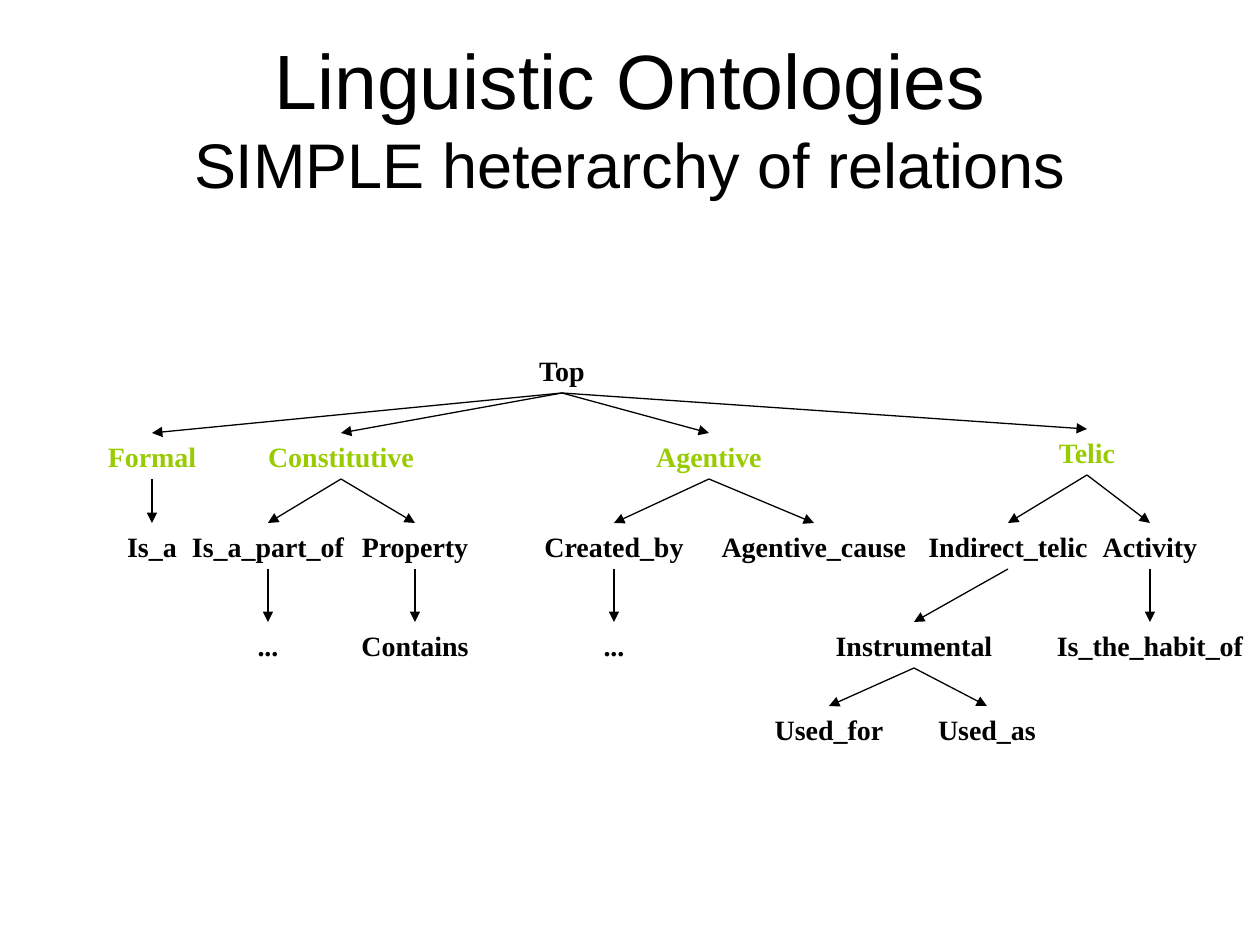
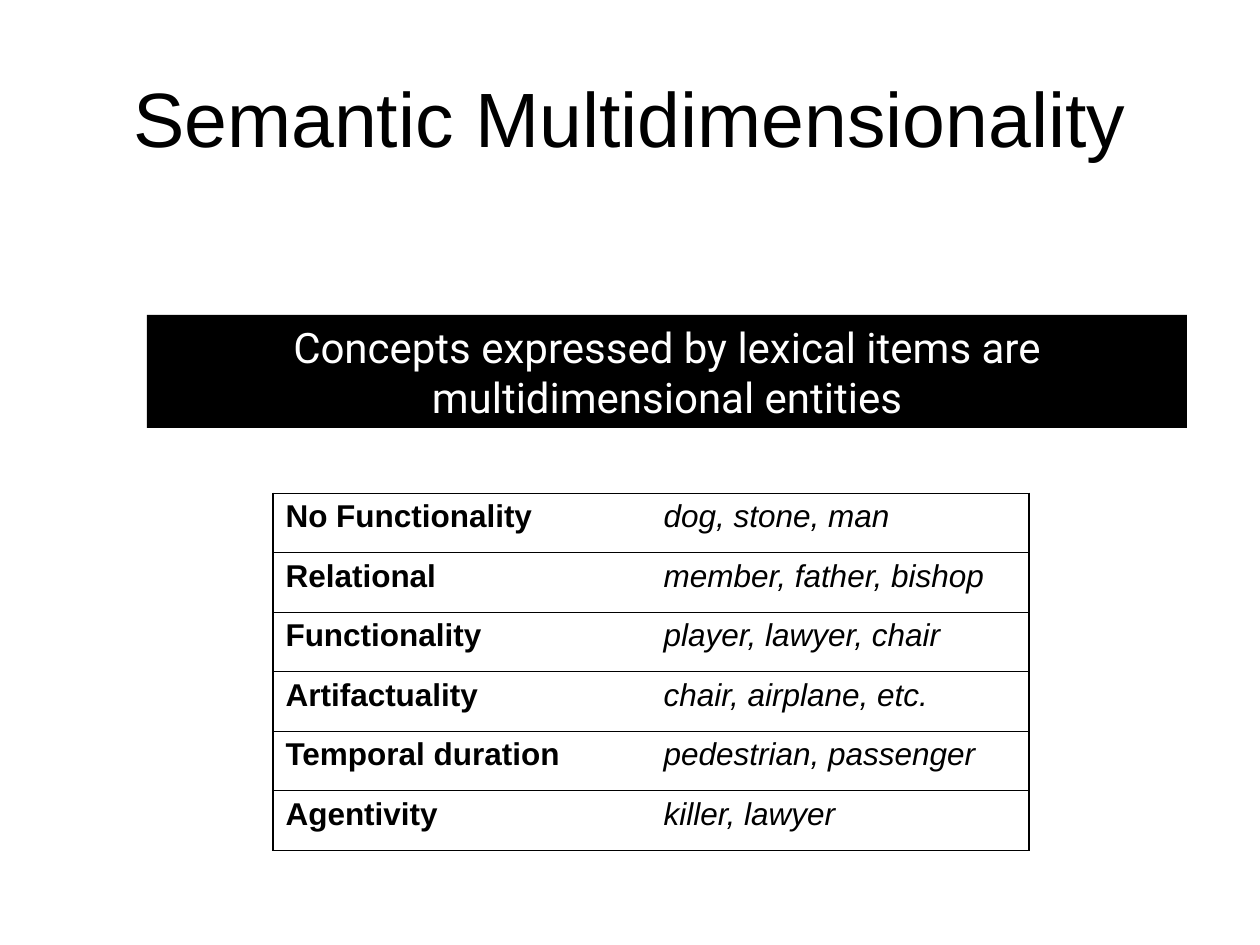
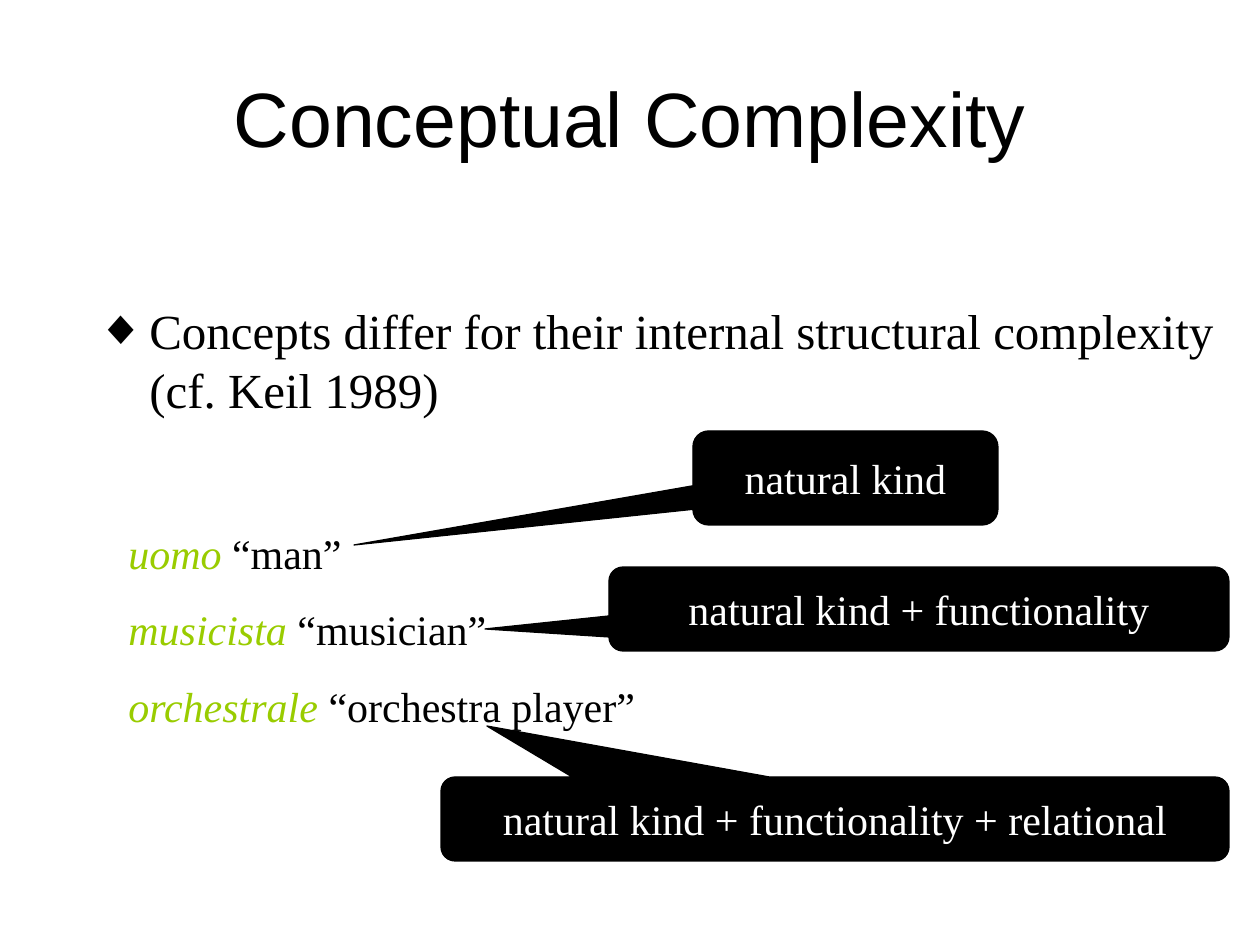
from lxml.etree import SubElement
from pptx import Presentation
from pptx.dml.color import RGBColor
from pptx.enum.shapes import MSO_CONNECTOR, MSO_SHAPE
from pptx.enum.text import MSO_ANCHOR, MSO_AUTO_SIZE, PP_ALIGN
from pptx.oxml.ns import qn
from pptx.util import Emu, Pt

COLORS = {"ink": "000000", "paper": "FFFFFF", "accent": "99CC00"}
SANS, SERIF, BAND_FONT = "Arial", "Times New Roman", "Roboto"


def px(*lengths):
    """Turn pixels (126 to the inch) into a list of EMU lengths."""
    return [Emu(round(length * 914400 / 126)) for length in lengths]


def format_run(run, font, size, color="ink", bold=False, italic=False):
    run.font.name = font
    run.font.size = Pt(size)
    run.font.bold = bold
    run.font.italic = italic
    run.font.color.rgb = RGBColor.from_string(COLORS[color])


presentation = Presentation()
presentation.slide_width, presentation.slide_height = px(1260, 945)

# Titles: lines of text with their sizes
titles = [
    [("Linguistic Ontologies", 44), ("SIMPLE heterarchy of relations", 36)],
    [("Semantic Multidimensionality", 44)],
    [("Conceptual Complexity", 44)],
]
for lines in titles:
    slide = presentation.slides.add_slide(presentation.slide_layouts[5])
    title = slide.shapes.title
    title.left, title.top, title.width, title.height = px(63, 38, 1134, 158)
    title.text_frame.auto_size = MSO_AUTO_SIZE.NONE
    title.text_frame.vertical_anchor = MSO_ANCHOR.MIDDLE
    paragraph = title.text_frame.paragraphs[0]
    paragraph.alignment = PP_ALIGN.CENTER
    for number, (text, size) in enumerate(lines):
        if number:
            paragraph.add_line_break()
        run = paragraph.add_run()
        run.text = text
        format_run(run, SANS, size)

ontology_slide, dimension_slide, complexity_slide = presentation.slides

# Relation tree: text, parent, centre, top, width
NODE_HEIGHT = 46
relations = [
    ("Top", None, 562, 347, 136),
    ("Formal", "Top", 152, 433, 158),
    ("Constitutive", "Top", 341, 433, 220),
    ("Agentive", "Top", 709, 433, 200),
    ("Telic", "Top", 1087, 429, 158),
    ("Is_a", "Formal", 152, 523, 148),
    ("Is_a_part_of", "Constitutive", 268, 523, 220),
    ("Property", "Constitutive", 415, 523, 180),
    ("Created_by", "Agentive", 614, 523, 220),
    ("Agentive_cause", "Agentive", 814, 523, 304),
    ("Indirect_telic", "Telic", 1008, 523, 252),
    ("Activity", "Telic", 1150, 523, 190),
    ("...", "Is_a_part_of", 268, 622, 158),
    ("Contains", "Property", 415, 622, 200),
    ("...", "Created_by", 614, 622, 158),
    ("Instrumental", "Indirect_telic", 914, 622, 252),
    ("Is_the_habit_of", "Activity", 1150, 622, 252),
    ("Used_for", "Instrumental", 829, 706, 252),
    ("Used_as", "Instrumental", 987, 706, 252),
]
node_bottoms = {}
for text, parent, center, top, width in relations:
    node = ontology_slide.shapes.add_textbox(*px(center - width // 2, top, width, NODE_HEIGHT))
    node.text_frame.word_wrap = True
    node.text_frame.text = text
    paragraph = node.text_frame.paragraphs[0]
    paragraph.alignment = PP_ALIGN.CENTER
    format_run(paragraph.runs[0], SERIF, 16, "accent" if parent == "Top" else "ink", bold=True)
    node_bottoms[text] = (center, top + NODE_HEIGHT)
    if parent:
        arrow = ontology_slide.shapes.add_connector(
            MSO_CONNECTOR.STRAIGHT, *px(*node_bottoms[parent], center, top))
        arrow.line.color.rgb = RGBColor.from_string(COLORS["ink"])
        arrow.line.width = Pt(0.75)
        SubElement(arrow.line._get_or_add_ln(), qn("a:tailEnd"), type="triangle")
        SubElement(arrow._element.spPr, qn("a:effectLst"))

# Table of dimensions and examples
dimensions = [
    ("No Functionality", "dog, stone, man"),
    ("Relational", "member, father, bishop"),
    ("Functionality", "player, lawyer, chair"),
    ("Artifactuality", "chair, airplane, etc."),
    ("Temporal duration", "pedestrian, passenger"),
    ("Agentivity", "killer, lawyer"),
]
SIDE_LINE, ROW_LINE = 1.08, 0.45
table = dimension_slide.shapes.add_table(
    len(dimensions), 2, *px(273, 493, 756, 357)).table
table.first_row = table.horz_banding = False
for row, texts in enumerate(dimensions):
    for column, text in enumerate(texts):
        cell = table.cell(row, column)
        cell.text_frame.text = text
        format_run(cell.text_frame.paragraphs[0].runs[0], SANS, 18,
                   bold=column == 0, italic=column == 1)
        borders = {
            "a:lnL": SIDE_LINE if column == 0 else 0,
            "a:lnR": SIDE_LINE if column == 1 else 0,
            "a:lnT": ROW_LINE,
            "a:lnB": ROW_LINE,
        }
        properties = cell._tc.get_or_add_tcPr()
        for side, width in borders.items():
            border = SubElement(properties, qn(side), w=str(Pt(width)))
            if width:
                fill = SubElement(border, qn("a:solidFill"))
                SubElement(fill, qn("a:srgbClr"), val=COLORS["ink"])
            else:
                SubElement(border, qn("a:noFill"))
        cell.fill.solid()
        cell.fill.fore_color.rgb = RGBColor.from_string(COLORS["paper"])

# Bullet statement
statement = complexity_slide.shapes.add_textbox(*px(84, 294, 1176, 131))
statement.text_frame.word_wrap = True
statement.text_frame.text = "Concepts differ for their internal structural complexity (cf. Keil 1989)"
paragraph = statement.text_frame.paragraphs[0]
properties = paragraph._p.get_or_add_pPr()
indent = px(53)[0]
properties.set("marL", str(indent))
properties.set("indent", str(-indent))
bullet_color = SubElement(properties, qn("a:buClr"))
SubElement(bullet_color, qn("a:srgbClr"), val=COLORS["ink"])
SubElement(properties, qn("a:buFont"), typeface=SANS)
SubElement(properties, qn("a:buChar"), char="◆")
format_run(paragraph.runs[0], SERIF, 28)

# Italian words with their meanings
words = [("uomo", " “man”"), ("musicista", " “musician”"), ("orchestrale", " “orchestra player”")]
word_box = complexity_slide.shapes.add_textbox(*px(116, 521, 557, 217))
frame = word_box.text_frame
frame.word_wrap = True
for number, (word, meaning) in enumerate(words):
    paragraph = frame.add_paragraph() if number else frame.paragraphs[0]
    if number:
        paragraph.space_before = Pt(15)
    for text, color in ((word, "accent"), (meaning, "ink")):
        run = paragraph.add_run()
        run.text = text
        format_run(run, SERIF, 24, color, italic=text == word)

# Black panels: slide, text, font, box, callout tip
panels = [
    (dimension_slide, "Concepts expressed by lexical items are multidimensional entities",
     BAND_FONT, (147, 315, 1040, 113), None),
    (complexity_slide, "natural kind", SERIF, (693, 431, 305, 94), (354, 545)),
    (complexity_slide, "natural kind + functionality", SERIF, (609, 567, 620, 84), (485, 629)),
    (complexity_slide, "natural kind + functionality + relational", SERIF,
     (441, 777, 788, 84), (487, 726)),
]
for slide, text, font, box, tip in panels:
    preset = MSO_SHAPE.ROUNDED_RECTANGULAR_CALLOUT if tip else MSO_SHAPE.RECTANGLE
    panel = slide.shapes.add_shape(preset, *px(*box))
    panel.shadow.inherit = False
    panel.fill.solid()
    panel.fill.fore_color.rgb = RGBColor.from_string(COLORS["ink"])
    if tip:
        left, top, width, height = box
        panel.adjustments[0] = (tip[0] - left) / width - 0.5
        panel.adjustments[1] = (tip[1] - top) / height - 0.5
        panel.line.color.rgb = RGBColor.from_string(COLORS["ink"])
        panel.line.width = Pt(0.75)
    else:
        panel.line.fill.background()
    panel.text_frame.word_wrap = True
    panel.text_frame.vertical_anchor = MSO_ANCHOR.MIDDLE
    panel.text_frame.text = text
    paragraph = panel.text_frame.paragraphs[0]
    paragraph.alignment = PP_ALIGN.CENTER
    format_run(paragraph.runs[0], font, 24, "paper")

presentation.save("out.pptx")
